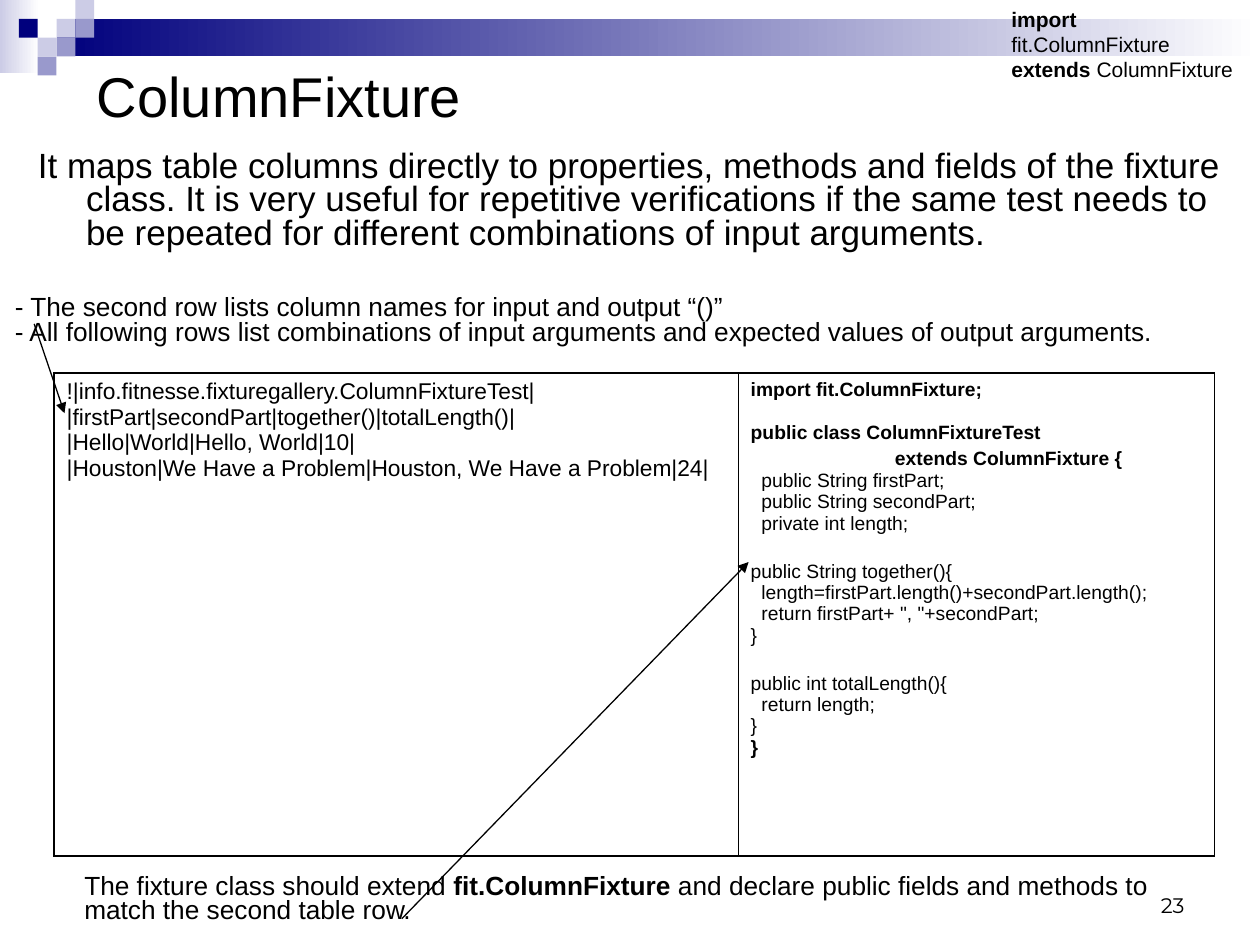
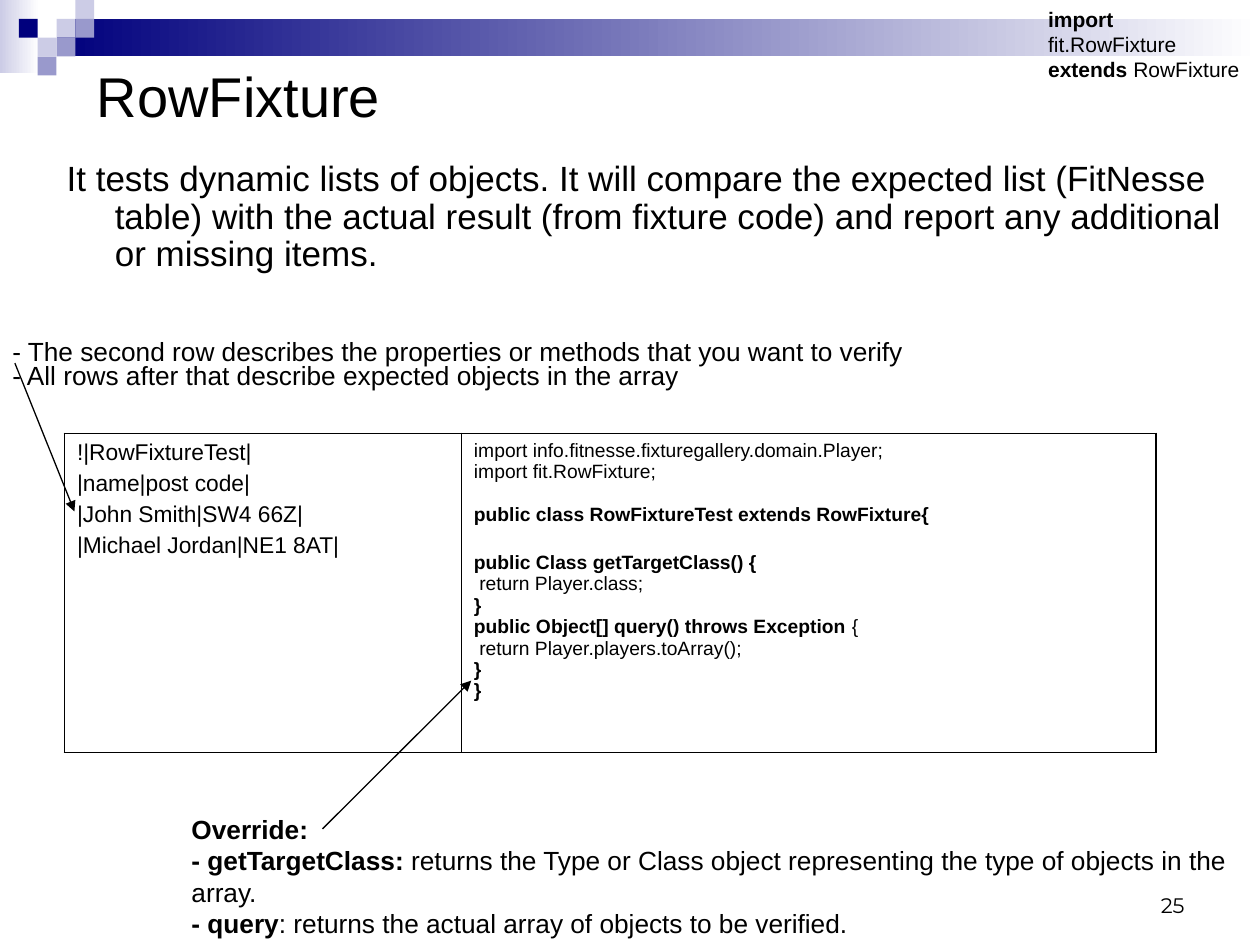
"""Build two slides on the FIT column and row fixtures."""

from dataclasses import dataclass

from lxml.etree import SubElement
from pptx import Presentation
from pptx.dml.color import RGBColor
from pptx.enum.shapes import MSO_CONNECTOR as Connector, MSO_SHAPE as Preset
from pptx.enum.text import MSO_ANCHOR as Anchor, MSO_AUTO_SIZE as AutoSize, PP_ALIGN as Align
from pptx.oxml.ns import qn
from pptx.util import Cm, Pt

BLACK = RGBColor(0x00, 0x00, 0x00)
WHITE = RGBColor(0xFF, 0xFF, 0xFF)
NAVY = RGBColor(0x00, 0x00, 0x7D)
LAVENDER = RGBColor(0xCC, 0xCC, 0xE6)
VIOLET = RGBColor(0x99, 0x99, 0xCC)

FONT = "Arial"
NUMBER_FONT = "Montserrat"
TIGHT = 0.78
THIN, THICK = 0.45, 1.08
SQUARE = 0.38
SQUARES = [(3, 1, LAVENDER), (4, 0, LAVENDER), (4, 1, VIOLET), (2, 2, LAVENDER),
           (1, 1, NAVY), (3, 2, VIOLET), (2, 3, VIOLET)]


@dataclass(frozen=True)
class Area:
    """A rectangle in centimetres."""
    left: float
    top: float
    width: float
    height: float

    def lengths(self) -> list:
        return [Cm(value) for value in (self.left, self.top, self.width, self.height)]


@dataclass(frozen=True)
class Style:
    """Paragraph formatting."""
    size: float
    font: str = FONT
    line_spacing: float = 1.0
    gap: float = 0
    align: Align = Align.LEFT


@dataclass(frozen=True)
class Note:
    """A text box whose bold parts stand between double asterisks."""
    area: Area
    paragraphs: list[str]
    style: Style
    anchor: Anchor = Anchor.MIDDLE
    wrap: bool = False


@dataclass(frozen=True)
class Arrow:
    """An arrow between two points in centimetres."""
    start: tuple[float, float]
    end: tuple[float, float]


@dataclass(frozen=True)
class CodeTable:
    """A wiki table beside its fixture code."""
    left: float
    top: float
    widths: tuple[float, float]
    height: float
    wiki: list[str]
    code: list[str]


@dataclass(frozen=True)
class FixturePage:
    """Everything one slide shows."""
    title: str
    number: str
    summary: str
    summary_area: Area
    summary_spacing: float
    table: CodeTable
    notes: list[Note]
    arrows: list[Arrow]


TITLE_AREA = Area(1.7, 1.12, 23.7, 1.8)
NUMBER_AREA = Area(18.21, 17.35, 5.92, 1.27)
TITLE_STYLE = Style(32, line_spacing=0.85)
NUMBER_STYLE = Style(12, NUMBER_FONT, align=Align.RIGHT)
IMPORT_STYLE = Style(12)
NOTE_STYLE = Style(15, line_spacing=TIGHT)
OVERRIDE_STYLE = Style(15)
WIKI_STYLE = Style(13, gap=3.3)
CODE_STYLE = Style(11, gap=2.8)

PAGES = [
    FixturePage(
        "ColumnFixture", "23",
        "It maps table columns directly to properties, methods and fields of the fixture class. "
        "It is very useful for repetitive verifications if the same test needs to be repeated "
        "for different combinations of input arguments.",
        Area(0.51, 2.92, 24.89, 2.39), 0.8,
        CodeTable(
            1.09, 7.52, (13.79, 9.6), 9.73,
            ["!|info.fitnesse.fixturegallery.ColumnFixtureTest|\n"
             "|firstPart|secondPart|together()|totalLength()|\n"
             "|Hello|World|Hello, World|10|\n"
             "|Houston|We Have a Problem|Houston, We Have a Problem|24|"],
            ["**import fit.ColumnFixture;\n\npublic class ColumnFixtureTest**",
             "**                           extends ColumnFixture {**\n"
             "  public String firstPart;\n  public String secondPart;\n  private int length;\n",
             "public String together(){\n"
             "  length=firstPart.length()+secondPart.length();\n"
             '  return firstPart+ ", "+secondPart;\n}\n',
             "public int totalLength(){\n  return length;\n}\n**}**"]),
        [Note(Area(0.05, 5.87, 23.62, 1.24),
              ["- The second row lists column names for input and output “()”",
               "- All following rows list combinations of input arguments and expected values "
               "of output arguments."], NOTE_STYLE),
         Note(Area(1.45, 17.53, 22.1, 1.24),
              ["The fixture class should extend **fit.ColumnFixture** and declare public fields "
               "and methods to", "match the second table row."], NOTE_STYLE),
         Note(Area(20.14, 0, 5.13, 1.27),
              ["**import** fit.ColumnFixture", "**extends** ColumnFixture"],
              IMPORT_STYLE, Anchor.TOP)],
        [Arrow((0.69, 6.53), (1.3, 8.33)), Arrow((8.1, 18.52), (15.09, 11.33))]),
    FixturePage(
        "RowFixture", "25",
        "It tests dynamic lists of objects. It will compare the expected list (FitNesse table) "
        "with the actual result (from fixture code) and report any additional or missing items.",
        Area(1.09, 3.12, 24.31, 2.59), 0.9,
        CodeTable(
            1.3, 8.74, (8, 14), 6.43,
            ["!|RowFixtureTest|", "|name|post code|", "|John Smith|SW4 66Z|",
             "|Michael Jordan|NE1 8AT|"],
            ["import info.fitnesse.fixturegallery.domain.Player;\nimport fit.RowFixture;\n\n"
             "**public class RowFixtureTest extends RowFixture{**\n",
             "**public Class getTargetClass() {**\n return Player.class;\n"
             "**}\npublic Object[] query() throws Exception** {\n"
             " return Player.players.toArray();\n**}\n}**"]),
        [Note(Area(3.61, 16.26, 21.79, 2.79),
              ["**Override:**",
               "**- getTargetClass:** returns the Type or Class object representing the type "
               "of objects in the array.",
               "**- query**: returns the actual array of objects to be verified."],
              OVERRIDE_STYLE, wrap=True),
         Note(Area(0, 6.73, 18.47, 1.3),
              ["- The second row describes the properties or methods that you want to verify",
               "- All rows after that describe expected objects in the array"], NOTE_STYLE),
         Note(Area(20.88, 0, 4.52, 1.27),
              ["**import** fit.RowFixture", "**extends** RowFixture"],
              IMPORT_STYLE, Anchor.TOP)],
        [Arrow((0.3, 7.32), (1.5, 10.31)), Arrow((6.5, 16.71), (9.5, 13.72))]),
]


def write(frame, paragraphs: list[str], style: Style) -> None:
    for index, text in enumerate(paragraphs):
        para = frame.add_paragraph() if index else frame.paragraphs[0]
        para.alignment = style.align
        para.line_spacing = style.line_spacing
        para.space_before = Pt(style.gap if index else 0)
        para.font.name = style.font
        para.font.size = Pt(style.size)
        para.font.color.rgb = BLACK
        for part, chunk in enumerate(text.split("**")):
            for row, line in enumerate(chunk.split("\n")):
                if row:
                    para.add_line_break()
                if line:
                    span = para.add_run()
                    span.text = line
                    if part % 2:
                        span.font.bold = True


def place(shape, area: Area) -> None:
    shape.left, shape.top, shape.width, shape.height = area.lengths()
    shape.text_frame.auto_size = AutoSize.NONE


def add_note(page, note: Note) -> None:
    frame = page.shapes.add_textbox(*note.area.lengths()).text_frame
    frame.word_wrap = note.wrap
    frame.vertical_anchor = note.anchor
    write(frame, note.paragraphs, note.style)


def add_arrow(page, arrow: Arrow) -> None:
    ends = [Cm(value) for value in arrow.start + arrow.end]
    line = page.shapes.add_connector(Connector.STRAIGHT, *ends)
    line.line.color.rgb = BLACK
    line.line.width = Pt(0.75)
    SubElement(line.line._get_or_add_ln(), qn("a:tailEnd"), type="triangle")
    SubElement(line.element.spPr, qn("a:effectLst"))


def set_borders(cell, left: float, right: float) -> None:
    properties = cell._tc.get_or_add_tcPr()
    for side, width in (("L", left), ("R", right), ("T", THICK), ("B", THICK)):
        border = SubElement(properties, qn(f"a:ln{side}"), w=str(Pt(width)))
        fill = SubElement(border, qn("a:solidFill"))
        SubElement(fill, qn("a:srgbClr"), val=str(BLACK))


def add_code_table(page, spec_table: CodeTable) -> None:
    area = Area(spec_table.left, spec_table.top, sum(spec_table.widths), spec_table.height)
    table = page.shapes.add_table(1, 2, *area.lengths()).table
    table.first_row = table.horz_banding = False
    columns = [(spec_table.wiki, WIKI_STYLE, THICK, THIN),
               (spec_table.code, CODE_STYLE, THIN, THICK)]
    for index, (paragraphs, style, left, right) in enumerate(columns):
        table.columns[index].width = Cm(spec_table.widths[index])
        cell = table.cell(0, index)
        set_borders(cell, left, right)
        cell.fill.background()
        write(cell.text_frame, paragraphs, style)


def add_block(page, area: Area, color: RGBColor, fades: bool = False):
    block = page.shapes.add_shape(Preset.RECTANGLE, *area.lengths())
    block.shadow.inherit = False
    block.line.fill.background()
    if fades:
        block.fill.gradient()
        block.fill.gradient_angle = 0
        for stop, shade in zip(block.fill.gradient_stops, (color, WHITE)):
            stop.color.rgb = shade
    else:
        block.fill.solid()
        block.fill.fore_color.rgb = color
    return block


def decorate_master(deck, page) -> None:
    blocks = [add_block(page, Area(0, 0, 0.79, 1.47), LAVENDER, True),
              add_block(page, Area(1.14, SQUARE, 24.26, 2 * SQUARE), NAVY, True)]
    blocks += [add_block(page, Area(column * SQUARE, row * SQUARE, SQUARE, SQUARE), color)
               for column, row, color in SQUARES]
    tree = deck.slide_master.shapes.element
    for index, block in enumerate(blocks):
        block.element.nvSpPr.cNvPr.set("id", str(100 + index))
        tree.insert(2 + index, block.element)


def fill_placeholders(page, content: FixturePage) -> None:
    title, body = page.shapes.title, page.placeholders[1]
    place(title, TITLE_AREA)
    title.text_frame.vertical_anchor = Anchor.MIDDLE
    write(title.text_frame, [content.title], TITLE_STYLE)
    place(body, content.summary_area)
    properties = body.text_frame.paragraphs[0]._p.get_or_add_pPr()
    properties.set("marL", str(Cm(0.97)))
    properties.set("indent", str(-Cm(0.97)))
    SubElement(properties, qn("a:buNone"))
    write(body.text_frame, [content.summary], Style(20, line_spacing=content.summary_spacing))


def main() -> None:
    deck = Presentation()
    deck.slide_width, deck.slide_height = Cm(25.4), Cm(19.05)
    for index, content in enumerate(PAGES):
        page = deck.slides.add_slide(deck.slide_layouts[1])
        if index == 0:
            decorate_master(deck, page)
        fill_placeholders(page, content)
        add_code_table(page, content.table)
        number = Note(NUMBER_AREA, [content.number], NUMBER_STYLE, Anchor.BOTTOM, True)
        for note in content.notes + [number]:
            add_note(page, note)
        for arrow in content.arrows:
            add_arrow(page, arrow)
    deck.save("out.pptx")


if __name__ == "__main__":
    main()
